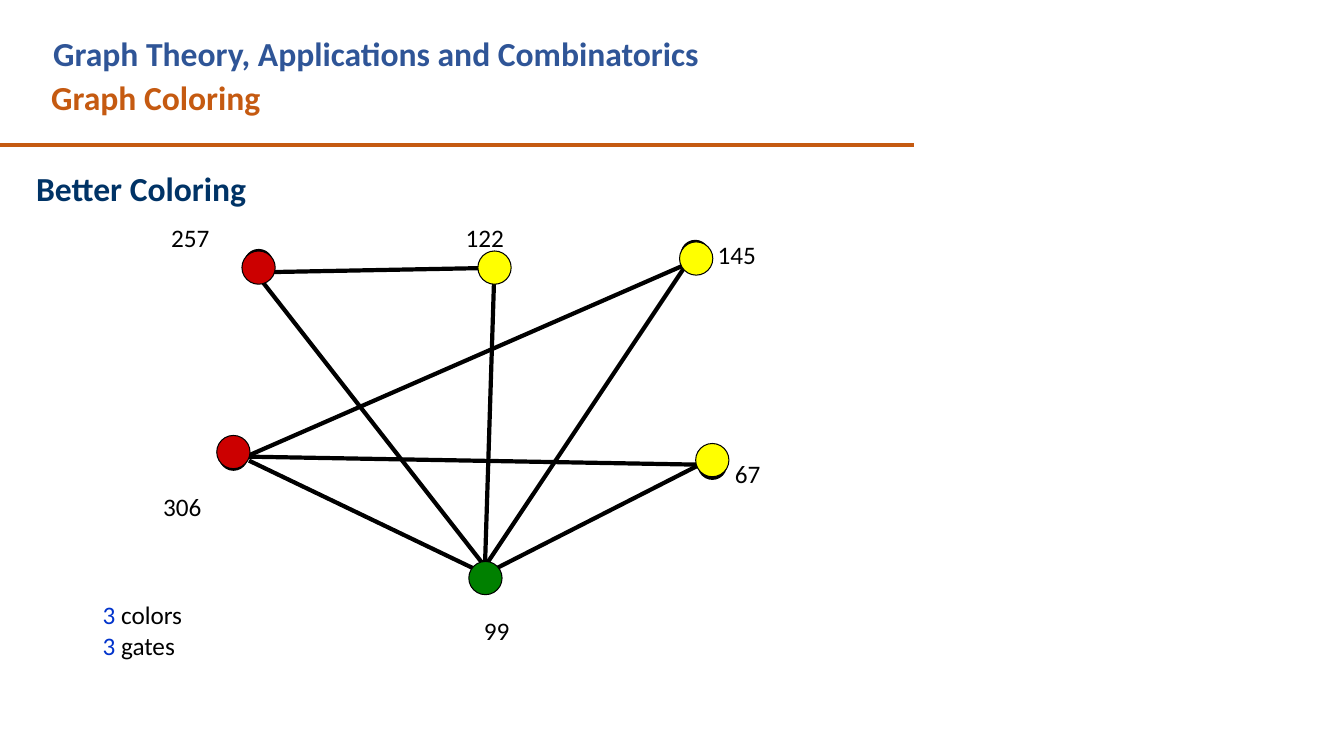
import pptx
import pptx.dml.color
import pptx.enum.shapes
import pptx.enum.text
import pptx.oxml.ns
import pptx.util
from lxml import etree

Inches = pptx.util.Inches
RGBColor = pptx.dml.color.RGBColor

BLACK = RGBColor(0x00, 0x00, 0x00)
ORANGE = RGBColor(0xC5, 0x5A, 0x11)
HEADING_BLUE = RGBColor(0x2F, 0x55, 0x97)
NAVY = RGBColor(0x00, 0x33, 0x66)
COUNT_BLUE = RGBColor(0x00, 0x33, 0xCC)
NODE_BLUE = RGBColor(0x00, 0x66, 0xFF)
RED = RGBColor(0xCC, 0x00, 0x00)
YELLOW = RGBColor(0xFF, 0xFF, 0x00)
GREEN = RGBColor(0x00, 0x80, 0x00)

HEADING = {"size": pptx.util.Pt(24), "bold": True}
BODY = {"size": pptx.util.Pt(18), "bold": False}
THICK, THIN = 3, 0.75
BASE_SIZE, DISC_SIZE = 0.25, 0.33

# Flight: label (left, top, width), base node and coloured disc (left, top)
FLIGHTS = {
    "257": ((0.1, 0.16, 0.66), (0.94, 0.49), (0.9, 0.49), RED),
    "67": ((5.69, 2.5, 0.51), (5.44, 2.49), (5.4, 2.4), YELLOW),
    "122": ((3.02, 0.16, 0.62), (3.27, 0.53), (3.24, 0.49), YELLOW),
    "145": ((5.52, 0.33, 0.62), (5.27, 0.4), (5.24, 0.4), YELLOW),
    "306": ((0.02, 2.83, 0.66), (0.69, 2.4), (0.65, 2.32), RED),
    "99": ((3.2, 4.06, 0.51), (3.19, 3.62), (3.15, 3.57), GREEN),
}

# Conflicting flights: start and end of each edge
EDGES = [
    ((0.94, 2.53), (5.31, 0.62)),  # 306 - 145
    ((0.94, 2.53), (5.44, 2.61)),  # 306 - 67
    ((1.15, 0.7), (3.27, 0.66)),   # 257 - 122
    ((1.06, 0.74), (3.31, 3.62)),  # 257 - 99
    ((3.31, 3.62), (3.4, 0.78)),   # 99 - 122
    ((3.31, 3.62), (5.31, 0.62)),  # 99 - 145
    ((3.4, 3.65), (5.44, 2.61)),   # 99 - 67
    ((0.97, 2.57), (3.22, 3.65)),  # 306 - 99
]


def add_text(slide, left, top, width, height, lines, style, wrap=False):
    """Each line is a list of (text, colour) runs."""
    box = slide.shapes.add_textbox(*map(Inches, (left, top, width, height)))
    frame = box.text_frame
    frame.word_wrap = wrap
    frame.auto_size = pptx.enum.text.MSO_AUTO_SIZE.SHAPE_TO_FIT_TEXT
    for index, line in enumerate(lines):
        paragraph = frame.add_paragraph() if index else frame.paragraphs[0]
        for text, colour in line:
            run = paragraph.add_run()
            run.text = text
            run.font.color.rgb = colour
            for attribute, value in {"name": "Calibri", **style}.items():
                setattr(run.font, attribute, value)


def add_line(slide, start, end, colour):
    line = slide.shapes.add_connector(
        pptx.enum.shapes.MSO_CONNECTOR.STRAIGHT, *map(Inches, (*start, *end)))
    line.line.color.rgb = colour
    line.line.width = pptx.util.Pt(THICK)
    etree.SubElement(line._element.spPr, pptx.oxml.ns.qn("a:effectLst"))


def add_node(slide, left, top, size, fill, outline):
    node = slide.shapes.add_shape(
        pptx.enum.shapes.MSO_SHAPE.OVAL, *map(Inches, (left, top, size, size)))
    node.shadow.inherit = False
    node.fill.solid()
    node.fill.fore_color.rgb = fill
    node.line.color.rgb = BLACK
    node.line.width = pptx.util.Pt(outline)


def add_header(slide, left, top, width):
    add_text(slide, left + 0.42, top + 0.71, 8.75, 0.5,
             [[("Graph Coloring", ORANGE)]], HEADING, wrap=True)
    add_line(slide, (left, top + 1.44), (left + width, top + 1.44), ORANGE)
    add_text(slide, left + 0.44, top + 0.28, 8.2, 0.5,
             [[("Graph Theory, Applications and Combinatorics", HEADING_BLUE)]],
             HEADING, wrap=True)


def add_summary(slide, left, top):
    lines = [[("3 ", COUNT_BLUE), (unit, BLACK)] for unit in ("colors", "gates")]
    add_text(slide, left, top, 1.13, 0.7, lines, BODY)


def add_flight_graph(slide, left, top):
    # Labels and base nodes
    for flight, ((x, y, width), _, _, _) in FLIGHTS.items():
        add_text(slide, left + x, top + y, width, 0.4, [[(flight, BLACK)]], BODY)
    for _, (x, y), _, _ in FLIGHTS.values():
        add_node(slide, left + x, top + y, BASE_SIZE, NODE_BLUE, THICK)
    # Conflicts
    for edge in EDGES:
        start, end = ((left + x, top + y) for x, y in edge)
        add_line(slide, start, end, BLACK)
    # Colouring
    for _, _, (x, y), colour in FLIGHTS.values():
        add_node(slide, left + x, top + y, DISC_SIZE, colour, THIN)


def main():
    deck = pptx.Presentation()
    deck.slide_width, deck.slide_height = Inches(13.33), Inches(7.5)
    slide = deck.slides.add_slide(deck.slide_layouts[6])
    add_header(slide, -0.01, 0, 9.08)
    add_text(slide, 0.26, 1.62, 2.31, 0.5, [[("Better Coloring", NAVY)]], HEADING)
    add_summary(slide, 0.92, 5.9)
    add_flight_graph(slide, 1.5, 2)
    deck.save("out.pptx")


if __name__ == "__main__":
    main()
